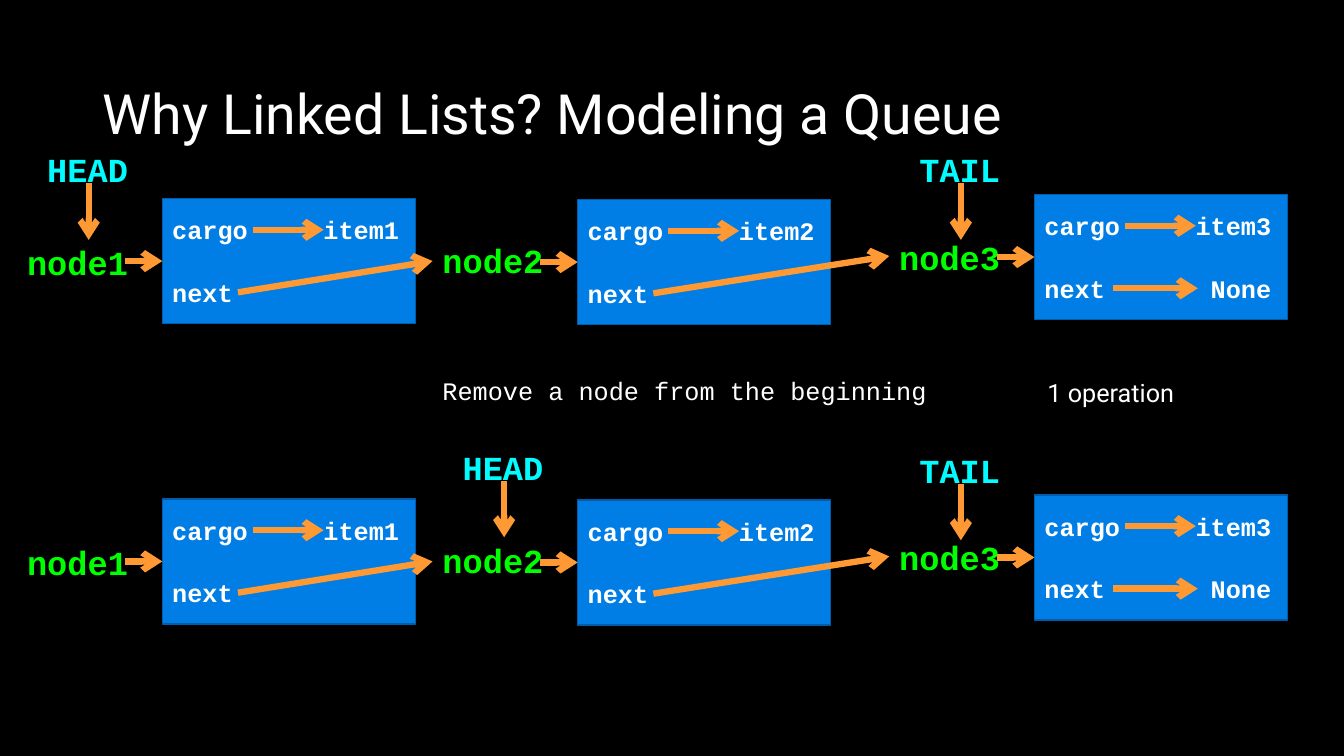
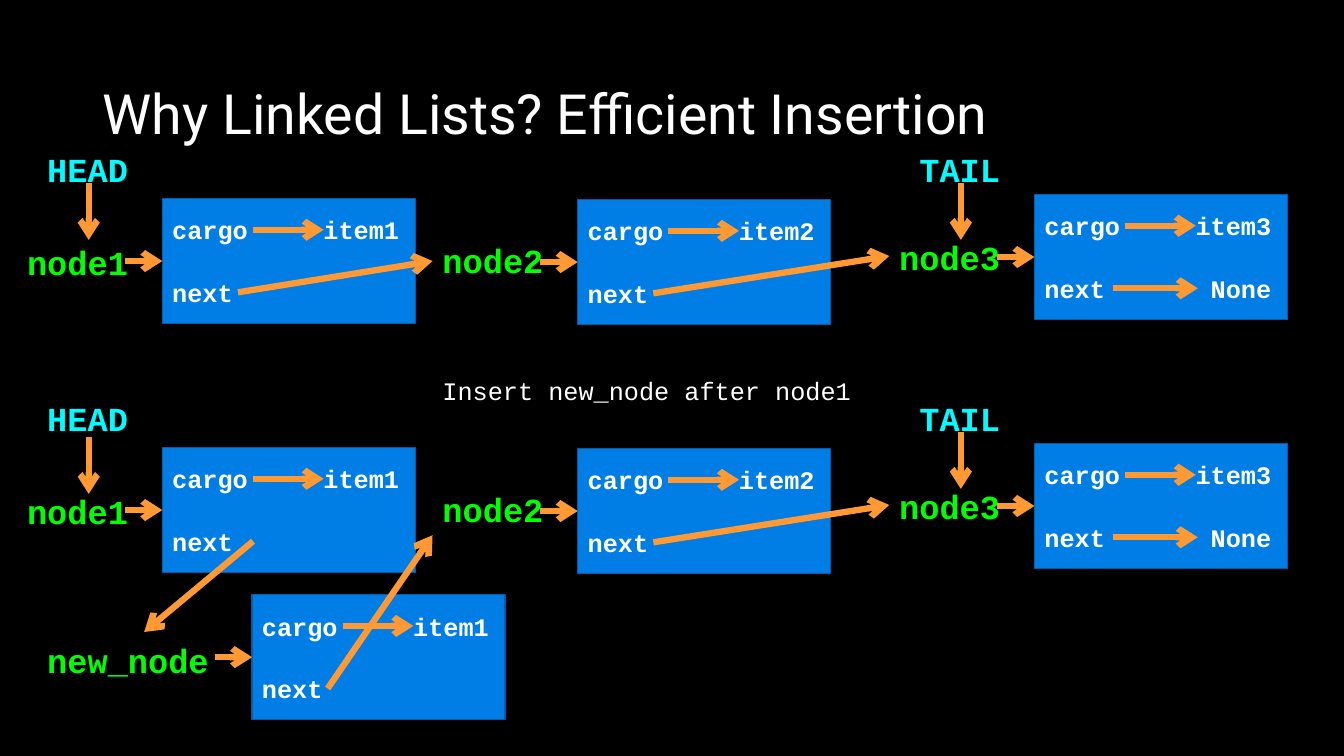
import pptx
import pptx.dml.color
import pptx.enum.shapes
import pptx.enum.text
import pptx.oxml.ns
import pptx.util
from lxml import etree
from pptx.util import Inches

MONO, SANS = "Courier New", "Roboto"
BLACK, WHITE = "000000", "FFFFFF"
BLUE, NAVY, ORANGE = "017EE5", "015DA9", "FF9933"
GREEN, CYAN = "00FF00", "00FCFF"

BOX_W, BOX_H = 2.51, 1.24
LABEL_BACK = 1.44   # from a node's name to its box
ENTRY_Y = 0.61      # where arrows meet a node, below its top
NEXT_Y = 0.93       # the "next" line, below the box top

# Name, content, box left, shift from the row top, drop of the name
NODES = [
    ("node1", "item1", 1.61, 0, 0.38),
    ("node2", "item2", 5.73, 0.01, 0.35),
    ("node3", "item3", 10.26, -0.04, 0.37),
]


def rgb(value):
    return pptx.dml.color.RGBColor.from_string(value)


def child(parent, tag, **attrs):
    return etree.SubElement(parent, pptx.oxml.ns.qn(tag), **attrs)


class Deck:
    def __init__(self):
        self.prs = pptx.Presentation()
        self.prs.slide_width, self.prs.slide_height = Inches(13.33), Inches(7.5)
        self.s = None

    def slide(self, title):
        self.s = self.prs.slides.add_slide(self.prs.slide_layouts[6])
        self.s.background.fill.solid()
        self.s.background.fill.fore_color.rgb = rgb(BLACK)
        tf = self.s.shapes.add_textbox(
            Inches(0.92), Inches(0.8), Inches(11.5), Inches(0.72)).text_frame
        tf.word_wrap = True
        tf.vertical_anchor = pptx.enum.text.MSO_ANCHOR.MIDDLE
        tf.paragraphs[0].line_spacing = 0.9
        self.run(tf.paragraphs[0], title, size=39.6, name=SANS)

    def run(self, p, text, size=18, color=WHITE, **fonts):
        r = p.add_run()
        r.text = text
        style = {"name": MONO, "size": pptx.util.Pt(size), **fonts}
        for key, value in style.items():
            setattr(r.font, key, value)
        r.font.color.rgb = rgb(color)

    def text(self, x, y, text, size=18, w=None, **style):
        """One unwrapped line; the width follows the fixed-pitch characters."""
        w = w or len(text) * 0.6 * size / 72 + 0.21
        tf = self.s.shapes.add_textbox(
            Inches(x), Inches(y), Inches(w), Inches(0.5 if size > 18 else 0.4)).text_frame
        tf.word_wrap = False
        tf.auto_size = pptx.enum.text.MSO_AUTO_SIZE.SHAPE_TO_FIT_TEXT
        self.run(tf.paragraphs[0], text, size, **style)

    def arrow(self, x1, y1, x2, y2):
        c = self.s.shapes.add_connector(
            pptx.enum.shapes.MSO_CONNECTOR.STRAIGHT,
            Inches(x1), Inches(y1), Inches(x2), Inches(y2))
        c.line.color.rgb = rgb(ORANGE)
        c.line.width = pptx.util.Pt(4.5)
        child(c.line._get_or_add_ln(), "a:tailEnd", type="arrow")
        child(c._element.spPr, "a:effectLst")

    def box(self, x, y, lines):
        """Box of (text, tab stop) lines."""
        sp = self.s.shapes.add_shape(
            pptx.enum.shapes.MSO_SHAPE.RECTANGLE,
            Inches(x), Inches(y), Inches(BOX_W), Inches(BOX_H))
        sp.shadow.inherit = False
        sp.fill.solid()
        sp.fill.fore_color.rgb = rgb(BLUE)
        sp.line.color.rgb = rgb(NAVY)
        sp.line.width = pptx.util.Pt(1)
        tf = sp.text_frame
        tf.vertical_anchor = pptx.enum.text.MSO_ANCHOR.MIDDLE
        for i, (text, stop) in enumerate(lines):
            p = tf.add_paragraph() if i else tf.paragraphs[0]
            tabs = child(p._p.get_or_add_pPr(), "a:tabLst")
            child(tabs, "a:tab", pos=str(Inches(stop)), algn="l")
            p.alignment = pptx.enum.text.PP_ALIGN.LEFT
            if i:
                p.space_before = pptx.util.Pt(23)
            self.run(p, text, bold=True)

    def node(self, name, item, x, y, drop, target=None, back=LABEL_BACK, next_x=0.75):
        """Named node; without a target its next is None."""
        following = "next" if target else "next\tNone"
        self.box(x, y, [(f"cargo\t{item}", 1.5), (following, 1.65)])
        self.arrow(x + 0.9, y + 0.31, x + 1.6, y + 0.31)
        if target:
            self.arrow(x + next_x, y + NEXT_Y, *target)
        else:
            self.arrow(x + 0.78, y + NEXT_Y, x + 1.62, y + NEXT_Y)
        self.text(x - back, y + drop, name, 24, color=GREEN, bold=True)
        self.arrow(x - 0.37, y + 0.62, x, y + 0.62)

    def linked_list(self, top, first=None):
        """Row of nodes; first overrides options of the first node."""
        for i, (name, item, x, shift, drop) in enumerate(NODES):
            options = {}
            if i + 1 < len(NODES):
                after = NODES[i + 1]
                options["target"] = (after[2] - LABEL_BACK, top + after[3] + ENTRY_Y)
            if i == 0:
                options.update(first or {})
            self.node(name, item, x, top + shift, drop, **options)

    def marker(self, text, x, y, gap=0.39):
        self.text(x, y, text, 24, color=CYAN, bold=True)
        self.arrow(x + 0.51, y + gap, x + 0.51, y + gap + 0.56)

    def start(self, title, caption):
        """Slide with the list as it is before the operation."""
        self.slide(title)
        self.linked_list(1.97)
        self.marker("HEAD", 0.37, 1.43)
        self.marker("TAIL", 9.02, 1.43)
        self.text(4.29, 3.67, caption)


def main():
    deck = Deck()

    # Removing the first node
    deck.start("Why Linked Lists? Modeling a Queue", "Remove a node from the beginning")
    deck.text(10.29, 3.69, "1 operation", w=1.49, name=SANS)
    deck.linked_list(4.95)
    deck.marker("HEAD", 4.49, 4.38)
    deck.marker("TAIL", 9.02, 4.41)

    # Inserting a node after the first
    deck.start("Why Linked Lists? Efficient Insertion", "Insert new_node after node1")
    deck.linked_list(4.44, first={"target": (1.43, 6.27), "next_x": 0.9})
    deck.marker("HEAD", 0.37, 3.9, gap=0.44)
    deck.marker("TAIL", 9.02, 3.9)
    deck.node("new_node", "item1", 2.5, 5.9, 0.4, target=(4.29, 5.31), back=2.13)

    deck.prs.save("out.pptx")


if __name__ == "__main__":
    main()
